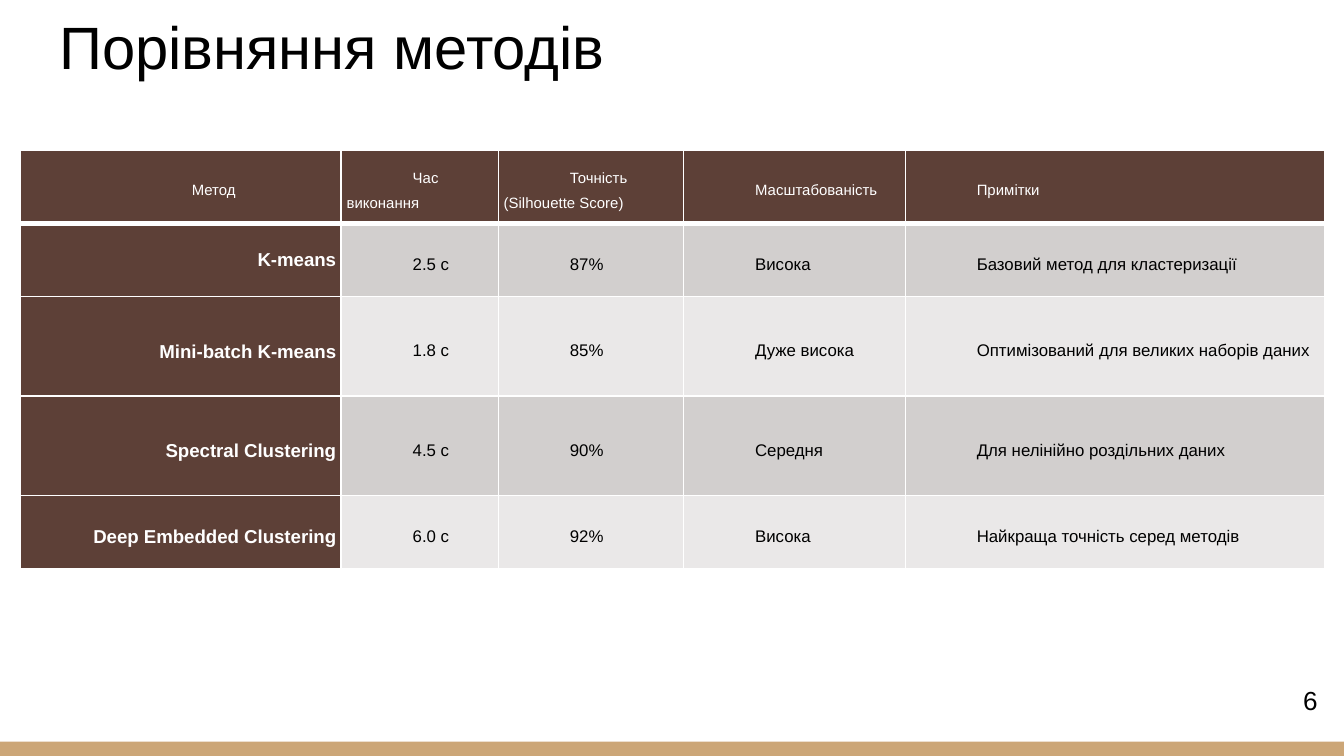
from pptx import Presentation
from pptx.dml.color import RGBColor
from pptx.enum.shapes import MSO_SHAPE as Shape
from pptx.enum.text import MSO_ANCHOR as Anchor, PP_ALIGN as Align
from pptx.oxml.ns import qn
from pptx.util import Cm, Pt
from lxml.etree import SubElement

COLORS = {
    "black": "000000",
    "white": "FFFFFF",
    "brown": "5D4037",
    "odd_row": "D2CFCE",
    "even_row": "EAE8E8",
    "sand": "CCA677",
}
COLUMN_WIDTHS = [6.07, 2.97, 3.5, 4.19, 7.92]
ROW_HEIGHTS = [1.39, 1.39, 1.88, 1.88, 1.39]
METHODS = [
    ["Метод", "Час виконання", "Точність (Silhouette Score)", "Масштабованість", "Примітки"],
    ["K-means", "2.5 с", "87%", "Висока", "Базовий метод для кластеризації"],
    ["Mini-batch K-means", "1.8 с", "85%", "Дуже висока", "Оптимізований для великих наборів даних"],
    ["Spectral Clustering", "4.5 с", "90%", "Середня", "Для нелінійно роздільних даних"],
    ["Deep Embedded Clustering", "6.0 с", "92%", "Висока", "Найкраща точність серед методів"],
]


def rgb(name):
    return RGBColor.from_string(COLORS[name])


def write(frame, text, size, color="black", bold=False, align=Align.LEFT, spaced=False):
    paragraph = frame.paragraphs[0]
    paragraph.alignment = align
    if spaced:
        paragraph.line_spacing = 1.5
        paragraph.space_before = paragraph.space_after = Pt(12)
        properties = paragraph._p.get_or_add_pPr()
        properties.set("marL", "0")
        properties.set("indent", str(Cm(1.25)))
    run = paragraph.add_run()
    run.text = text
    run.font.name = "Arial"
    run.font.size = Pt(size)
    run.font.bold = bold
    run.font.color.rgb = rgb(color)


def add_text(slide, box, text, size, anchor=Anchor.TOP, wrap=True):
    frame = slide.shapes.add_textbox(*map(Cm, box)).text_frame
    frame.word_wrap = wrap
    frame.vertical_anchor = anchor
    frame.margin_left = frame.margin_right = Cm(0.25)
    frame.margin_top = frame.margin_bottom = Cm(0.25 if wrap else 0.13)
    write(frame, text, size)


def add_footer_bar(slide):
    bar = slide.shapes.add_shape(Shape.RECTANGLE, Cm(0), Cm(14.02), Cm(25.4), Cm(0.27))
    bar.shadow.inherit = False
    bar.fill.solid()
    bar.fill.fore_color.rgb = rgb("sand")
    bar.line.fill.background()


def set_borders(cell, bottom):
    properties = cell._tc.get_or_add_tcPr()
    for side, width in zip("LRTB", (1, 1, 1, bottom)):
        line = SubElement(properties, qn(f"a:ln{side}"), w=str(Pt(width)))
        fill = SubElement(line, qn("a:solidFill"))
        SubElement(fill, qn("a:srgbClr"), val=COLORS["white"])


def cell_format(row, column):
    if row == 0:
        align = Align.JUSTIFY if column else Align.CENTER
        return "brown", dict(size=8, color="white", align=align, spaced=True)
    if column == 0:
        return "brown", dict(size=10, color="white", bold=True, align=Align.RIGHT, spaced=row > 1)
    return "odd_row" if row % 2 else "even_row", dict(size=9, spaced=True)


def add_comparison(slide):
    table = slide.shapes.add_table(
        len(METHODS), len(COLUMN_WIDTHS), Cm(0.38), Cm(2.83),
        Cm(sum(COLUMN_WIDTHS)), Cm(sum(ROW_HEIGHTS))).table
    for column, width in zip(table.columns, COLUMN_WIDTHS):
        column.width = Cm(width)
    for row, height in zip(table.rows, ROW_HEIGHTS):
        row.height = Cm(height)
    for r, method in enumerate(METHODS):
        for c, text in enumerate(method):
            cell = table.cell(r, c)
            cell.margin_left = cell.margin_right = Cm(0.1)
            cell.margin_top = cell.margin_bottom = 0
            cell.vertical_anchor = Anchor.MIDDLE
            set_borders(cell, bottom=1 if r else 3)
            background, text_format = cell_format(r, c)
            cell.fill.solid()
            cell.fill.fore_color.rgb = rgb(background)
            write(cell.text_frame, text, **text_format)


def main():
    deck = Presentation()
    deck.slide_width, deck.slide_height = Cm(25.4), Cm(14.29)
    slide = deck.slides.add_slide(deck.slide_layouts[6])
    add_footer_bar(slide)
    add_text(slide, (0.87, -0.51, 23.67, 2.31), "Порівняння методів", 32, Anchor.BOTTOM)
    add_text(slide, (24.38, 12.8, 0.79, 0.86), "6", 14, wrap=False)
    add_comparison(slide)
    deck.save("out.pptx")


if __name__ == "__main__":
    main()
